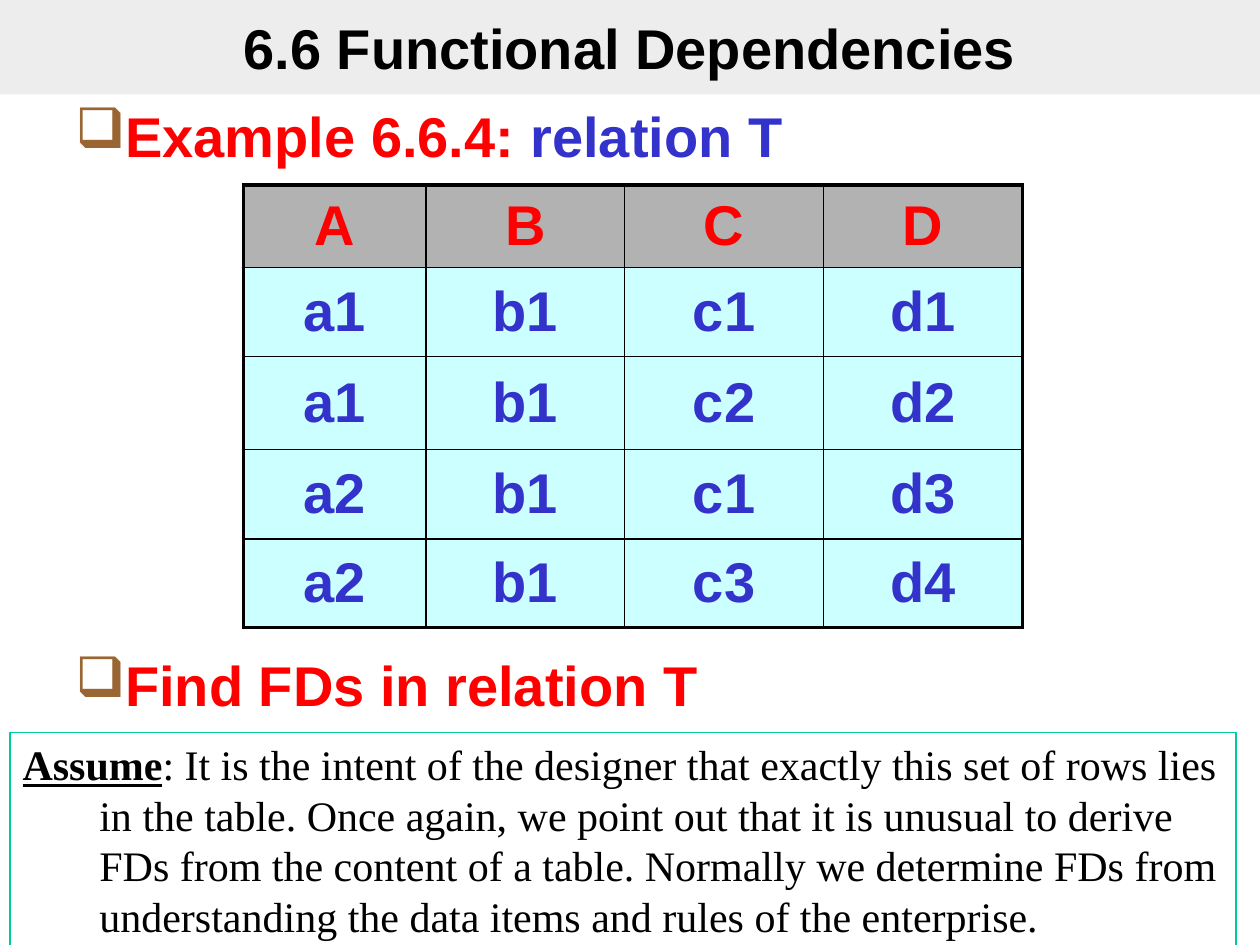
from lxml import etree
from pptx import Presentation
from pptx.dml.color import RGBColor
from pptx.enum import shapes, text
from pptx.oxml import ns
from pptx.util import Pt

BLACK = RGBColor(0, 0, 0)
WHITE = RGBColor(255, 255, 255)
RED = RGBColor(255, 0, 0)
BLUE = RGBColor(0x33, 0x33, 0xCC)
BROWN = RGBColor(0x99, 0x66, 0x33)
BAND_GRAY = RGBColor(0xDD, 0xDD, 0xDD)
HEADER_GRAY = RGBColor(0xB2, 0xB2, 0xB2)
CELL_CYAN = RGBColor(0xCC, 0xFF, 0xFF)
NOTE_GREEN = RGBColor(0, 0xCC, 0x99)

RELATION_T = [
    ["A", "B", "C", "D"],
    ["a1", "b1", "c1", "d1"],
    ["a1", "b1", "c2", "d2"],
    ["a2", "b1", "c1", "d3"],
    ["a2", "b1", "c3", "d4"],
]
COLUMN_WIDTHS = [104.4, 113.6, 113.6, 113.6]
ROW_HEIGHTS = [47.2, 50.7, 53.2, 51.3, 50.4]


def add_xml(parent, tag, **attributes):
    return etree.SubElement(parent, ns.qn(tag), attributes)


def style(font, color, size=32, name="Arial", bold=True):
    font.name = name
    font.size = Pt(size)
    font.bold = bold
    font.color.rgb = color


def set_indent(paragraph, indent):
    properties = paragraph._p.get_or_add_pPr()
    properties.set("marL", str(Pt(indent)))
    properties.set("indent", str(-Pt(indent)))
    return properties


def place_title(slide, left, top, width, height):
    title = slide.shapes.title
    title.left, title.top = Pt(left), Pt(top)
    title.width, title.height = Pt(width), Pt(height)
    title.fill.solid()
    title.fill.fore_color.rgb = BAND_GRAY
    band_color = title._element.spPr.find(".//" + ns.qn("a:srgbClr"))
    add_xml(band_color, "a:alpha", val="50000")
    frame = title.text_frame
    frame.text = "6.6 Functional Dependencies"
    frame.vertical_anchor = text.MSO_ANCHOR.MIDDLE
    heading = frame.paragraphs[0]
    heading.alignment = text.PP_ALIGN.CENTER
    style(heading.runs[0].font, BLACK)


def add_bullet(slide, left, top, width, height, parts):
    box = slide.shapes.add_textbox(Pt(left), Pt(top), Pt(width), Pt(height))
    box.text_frame.word_wrap = True
    bullet = box.text_frame.paragraphs[0]
    properties = set_indent(bullet, 27.36)
    bullet_color = add_xml(properties, "a:buClr")
    add_xml(bullet_color, "a:srgbClr", val=str(BROWN))
    add_xml(properties, "a:buChar", char="❑")
    for wording, color in parts:
        run = bullet.add_run()
        run.text = wording
        style(run.font, color)


def add_border(cell, side, width):
    properties = cell._tc.get_or_add_tcPr()
    line = add_xml(properties, "a:ln" + side, w=str(Pt(width)))
    fill = add_xml(line, "a:solidFill")
    add_xml(fill, "a:srgbClr", val=str(BLACK))


def add_relation(slide, left, top, width, height):
    last_row, last_column = len(RELATION_T) - 1, len(RELATION_T[0]) - 1
    relation = slide.shapes.add_table(
        last_row + 1, last_column + 1, Pt(left), Pt(top), Pt(width), Pt(height)
    ).table
    relation.first_row = relation.horz_banding = False
    for column, column_width in zip(relation.columns, COLUMN_WIDTHS):
        column.width = Pt(column_width)
    for row, row_height in zip(relation.rows, ROW_HEIGHTS):
        row.height = Pt(row_height)
    for r, values in enumerate(RELATION_T):
        for c, value in enumerate(values):
            cell = relation.cell(r, c)
            outer = {"L": c == 0, "R": c == last_column, "T": r == 0, "B": r == last_row}
            for side, is_outer in outer.items():
                add_border(cell, side, 2.25 if is_outer else 1)
            cell.fill.solid()
            cell.fill.fore_color.rgb = CELL_CYAN if r else HEADER_GRAY
            cell.margin_top = cell.margin_bottom = 0
            cell.vertical_anchor = text.MSO_ANCHOR.MIDDLE
            cell.text = value
            entry = cell.text_frame.paragraphs[0]
            entry.alignment = text.PP_ALIGN.CENTER
            style(entry.runs[0].font, BLUE if r else RED)


def add_assumption(slide, left, top, width, height):
    note = slide.shapes.add_shape(
        shapes.MSO_SHAPE.RECTANGLE, Pt(left), Pt(top), Pt(width), Pt(height)
    )
    note.shadow.inherit = False
    note.fill.solid()
    note.fill.fore_color.rgb = WHITE
    note.line.color.rgb = NOTE_GREEN
    note.line.width = Pt(0.75)
    frame = note.text_frame
    frame.word_wrap = True
    frame.vertical_anchor = text.MSO_ANCHOR.TOP
    assumption = frame.paragraphs[0]
    assumption.alignment = text.PP_ALIGN.LEFT
    set_indent(assumption, 43.92)
    label = assumption.add_run()
    label.text = "Assume"
    style(label.font, BLACK, 24, "Times New Roman")
    label.font.underline = True
    statement = assumption.add_run()
    statement.text = (
        ": It is the intent of the designer that exactly this set of rows lies "
        "in the table. Once again, we point out that it is unusual to derive "
        "FDs from the content of a table. Normally we determine FDs from "
        "understanding the data items and rules of the enterprise."
    )
    style(statement.font, BLACK, 24, "Times New Roman", bold=False)


def main():
    deck = Presentation()
    deck.slide_width, deck.slide_height = Pt(720), Pt(540)
    slide = deck.slides.add_slide(deck.slide_layouts[5])
    place_title(slide, 0, 0, 720, 54)
    add_bullet(slide, 36, 54.7, 648, 46,
               [("Example 6.6.4: ", RED), ("relation T", BLUE)])
    add_relation(slide, 139, 105.8, sum(COLUMN_WIDTHS), sum(ROW_HEIGHTS))
    add_bullet(slide, 36, 368.4, 648, 46, [("Find FDs in relation T", RED)])
    add_assumption(slide, 5.8, 418.7, 700.6, 122.4)
    deck.save("out.pptx")


if __name__ == "__main__":
    main()
